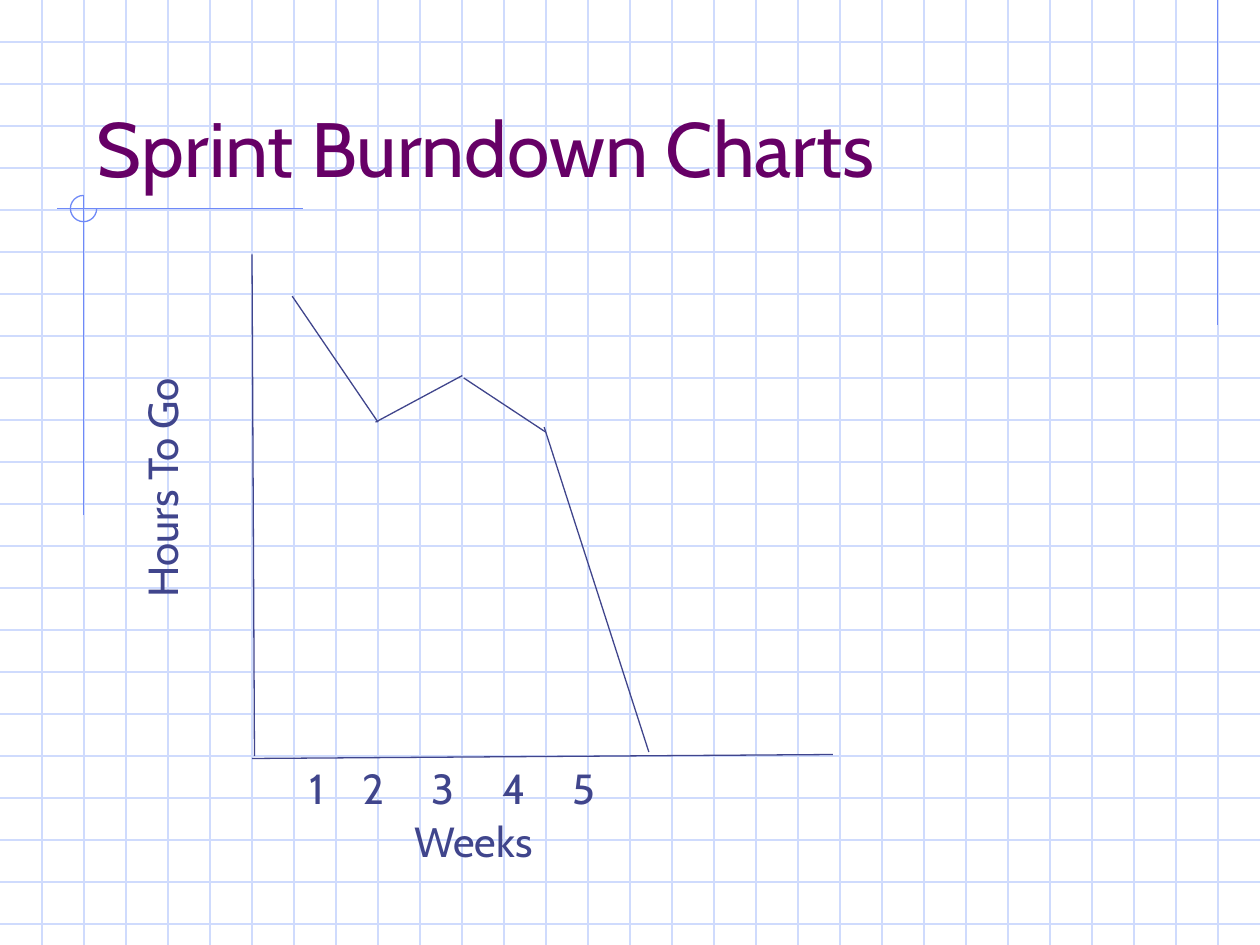
"""Build the sprint burndown slide on its graph-paper background."""
from dataclasses import dataclass

from lxml import etree
from pptx import Presentation
from pptx.dml.color import RGBColor
from pptx.enum import shapes, text
from pptx.oxml import ns
from pptx.util import Cm, Pt

GRID, ACCENT, INK, TITLE = "CFDBFD", "6F89F7", "40458C", "660066"
WIDTH, HEIGHT = 25.4, 19.05
STEP = WIDTH / 30


@dataclass
class Line:
    x1: float
    y1: float
    x2: float
    y2: float
    color: str = INK


@dataclass
class Label:
    text: str
    left: float
    top: float
    width: float
    rotation: int = 0
    tabs: tuple[float, ...] = ()


def rgb(value: str) -> RGBColor:
    return RGBColor.from_string(value)


def add_line(s, line: Line) -> None:
    c = s.shapes.add_connector(shapes.MSO_CONNECTOR.STRAIGHT, Cm(line.x1),
                               Cm(line.y1), Cm(line.x2), Cm(line.y2))
    c.line.color.rgb = rgb(line.color)
    c.line.width = Pt(0.75)
    etree.SubElement(c.element.spPr, ns.qn("a:effectLst"))


def add_arc(s, left: float, top: float, size: float) -> None:
    sp = s.shapes.add_shape(shapes.MSO_SHAPE.ARC, Cm(left), Cm(top), Cm(size), Cm(size))
    sp.adjustments[0], sp.adjustments[1] = 0, 162
    sp.shadow.inherit = False
    sp.fill.background()
    sp.line.color.rgb = rgb(ACCENT)
    sp.line.width = Pt(0.75)


def write(sp, content: str, *, size: int, color: str, anchor=text.MSO_ANCHOR.TOP,
          tabs: tuple[float, ...] = ()) -> None:
    tf = sp.text_frame
    tf.word_wrap = True
    tf.auto_size = text.MSO_AUTO_SIZE.NONE
    tf.vertical_anchor = anchor
    p = tf.paragraphs[0]
    p.alignment = text.PP_ALIGN.LEFT
    if tabs:
        stops = etree.SubElement(p._p.get_or_add_pPr(), ns.qn("a:tabLst"))
        for pos in tabs:
            etree.SubElement(stops, ns.qn("a:tab"), pos=str(Cm(pos)), algn="l")
    r = p.add_run()
    r.text = content
    r.font.name = "Cabin"
    r.font.size = Pt(size)
    r.font.color.rgb = rgb(color)


def add_label(s, label: Label) -> None:
    sp = s.shapes.add_textbox(Cm(label.left), Cm(label.top), Cm(label.width), Cm(1.27))
    sp.rotation = label.rotation
    write(sp, label.text, size=24, color=INK, tabs=label.tabs)


def add_title(s, content: str) -> None:
    sp = s.shapes.title
    sp.left, sp.top, sp.width, sp.height = Cm(1.7), Cm(0.85), Cm(21.59), Cm(3.17)
    write(sp, content, size=44, color=TITLE, anchor=text.MSO_ANCHOR.BOTTOM)
    sp.element.getparent().append(sp.element)


ROWS = [Line(0, i * STEP, WIDTH, i * STEP, GRID) for i in range(1, 23)]
COLUMNS = [Line(i * STEP, 0, i * STEP, HEIGHT, GRID) for i in range(1, 30)]
ACCENTS = [
    Line(24.55, 0, 24.55, 6.55, ACCENT),
    Line(6.1, 4.21, 1.14, 4.21, ACCENT),
    Line(1.69, 3.94, 1.69, 10.39, ACCENT),
]
AXES = [Line(5.08, 5.13, 5.13, 15.24), Line(5.08, 15.29, 16.79, 15.21)]
BURNDOWN = [
    Line(5.89, 5.97, 7.62, 8.51),
    Line(7.57, 8.51, 9.32, 7.57),
    Line(9.35, 7.62, 11, 8.71),
    Line(10.97, 8.61, 13.08, 15.16),
]
LABELS = [
    Label("Hours To Go", 0.53, 8.92, 5.46, rotation=270),
    Label("Weeks", 8.1, 16.31, 3.1),
    Label("1\t2\t3\t4\t5", 5.99, 15.24, 7.11, tabs=(1.07, 2.46, 3.89, 5.31)),
]


def main() -> None:
    prs = Presentation()
    prs.slide_width, prs.slide_height = Cm(WIDTH), Cm(HEIGHT)
    s = prs.slides.add_slide(prs.slide_layouts[5])
    s.background.fill.solid()
    s.background.fill.fore_color.rgb = rgb("FFFFFF")
    for line in ROWS + COLUMNS + ACCENTS:
        add_line(s, line)
    add_arc(s, 1.42, 3.94, 0.53)
    add_title(s, "Sprint Burndown Charts")
    for line in AXES:
        add_line(s, line)
    for label in LABELS:
        add_label(s, label)
    for line in BURNDOWN:
        add_line(s, line)
    prs.save("out.pptx")


if __name__ == "__main__":
    main()
